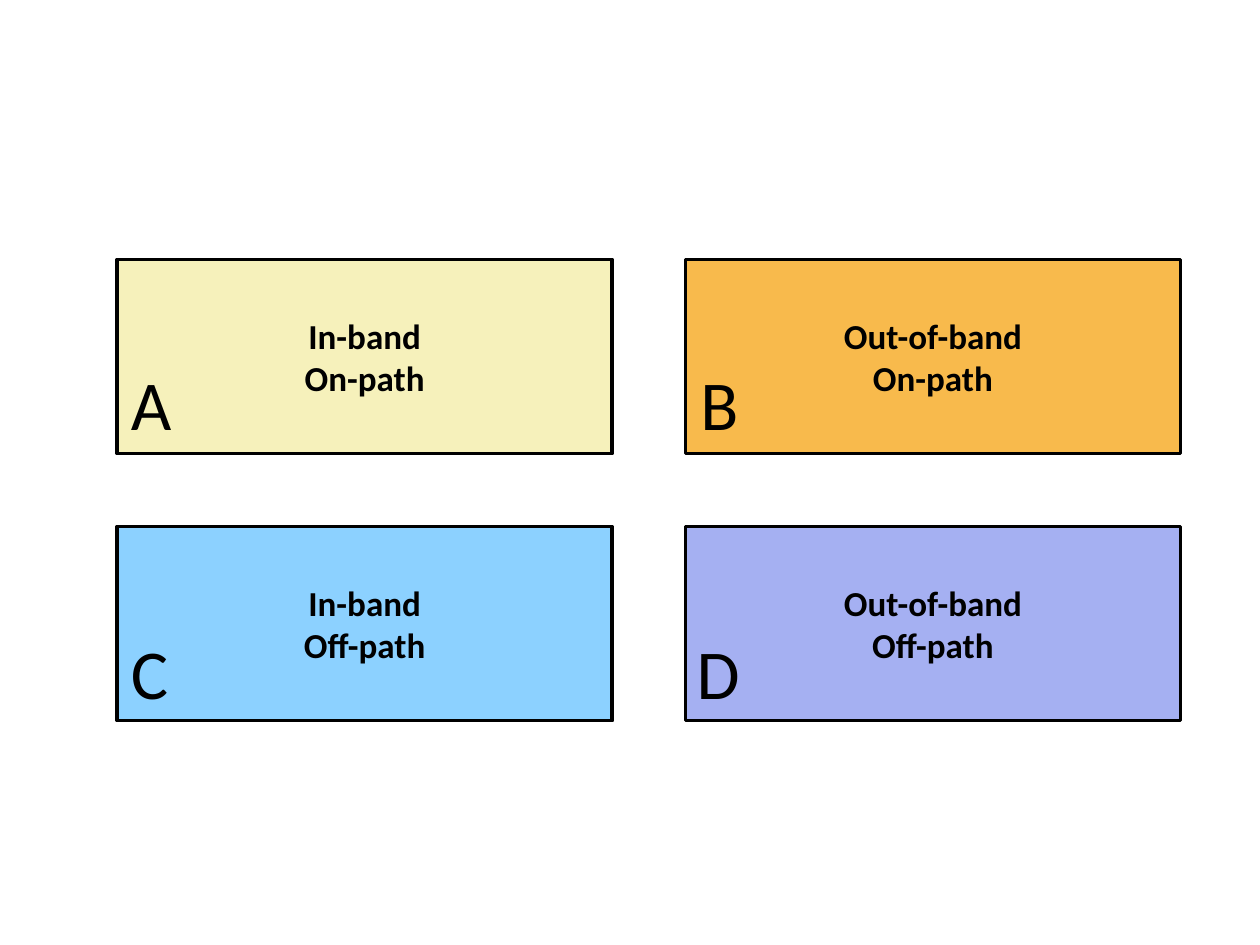
from dataclasses import dataclass

from pptx import Presentation
from pptx.dml.color import RGBColor
from pptx.enum.shapes import MSO_SHAPE
from pptx.enum.text import MSO_ANCHOR, MSO_AUTO_SIZE, PP_ALIGN
from pptx.util import Inches, Pt

BLACK = RGBColor(0x00, 0x00, 0x00)
YELLOW = RGBColor(0xF6, 0xF1, 0xBB)
ORANGE = RGBColor(0xF8, 0xBA, 0x4C)
BLUE = RGBColor(0x8C, 0xD1, 0xFF)
VIOLET = RGBColor(0xA5, 0xB0, 0xF2)

# Grid of two columns and two rows, in inches
LEFT, TOP = 0.93, 2.06
BOX_W, BOX_H = 3.93, 1.54
COL_STEP, ROW_STEP = 4.51, 2.12
LETTER_H = 0.77


@dataclass
class Quadrant:
    letter: str
    col: int
    row: int
    fill: RGBColor
    letter_left: float
    letter_w: float

    @property
    def lines(self) -> list[str]:
        return [("In-band", "Out-of-band")[self.col],
                ("On-path", "Off-path")[self.row]]

    @property
    def top(self) -> float:
        return TOP + self.row * ROW_STEP


QUADRANTS = [
    Quadrant("A", 0, 0, YELLOW, 0.94, 0.64),
    Quadrant("B", 1, 0, ORANGE, 5.46, 0.59),
    Quadrant("C", 0, 1, BLUE, 0.94, 0.58),
    Quadrant("D", 1, 1, VIOLET, 5.43, 0.6),
]


def set_paragraph(p, text: str, size: int, align: PP_ALIGN, bold: bool) -> None:
    p.text = text
    p.alignment = align
    p.font.name = "Calibri"
    p.font.size = Pt(size)
    p.font.bold = bold
    p.font.color.rgb = BLACK


def add_box(s, q: Quadrant) -> None:
    sp = s.shapes.add_shape(
        MSO_SHAPE.RECTANGLE, Inches(LEFT + q.col * COL_STEP), Inches(q.top),
        Inches(BOX_W), Inches(BOX_H))
    sp.shadow.inherit = False
    sp.fill.solid()
    sp.fill.fore_color.rgb = q.fill
    sp.line.color.rgb = BLACK
    sp.line.width = Pt(2)
    tf = sp.text_frame
    tf.vertical_anchor = MSO_ANCHOR.MIDDLE
    for i, line in enumerate(q.lines):
        p = tf.add_paragraph() if i else tf.paragraphs[0]
        set_paragraph(p, line, 20, PP_ALIGN.CENTER, True)


def add_letter(s, q: Quadrant) -> None:
    # Letters sit at the foot of the box, slightly higher in the top row
    top = q.top + (0.77 if q.row else 0.75)
    sp = s.shapes.add_textbox(Inches(q.letter_left), Inches(top),
                              Inches(q.letter_w), Inches(LETTER_H))
    tf = sp.text_frame
    tf.word_wrap = False
    tf.auto_size = MSO_AUTO_SIZE.SHAPE_TO_FIT_TEXT
    set_paragraph(tf.paragraphs[0], q.letter, 40, PP_ALIGN.JUSTIFY, False)


prs = Presentation()
prs.slide_width, prs.slide_height = Inches(10), Inches(7.5)
s = prs.slides.add_slide(prs.slide_layouts[6])

# Coloured boxes, then the letters over them
for q in QUADRANTS:
    add_box(s, q)
for q in QUADRANTS:
    add_letter(s, q)

prs.save("out.pptx")
